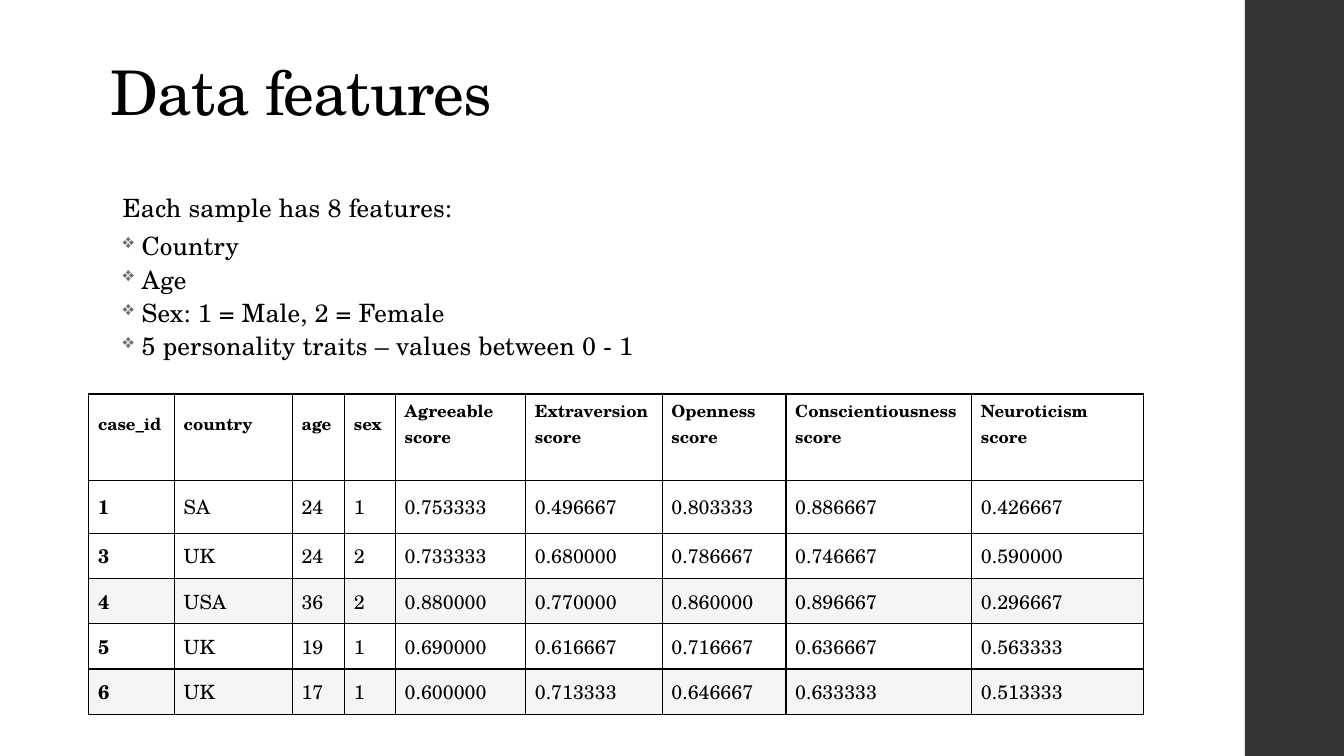
import dataclasses

import lxml.etree
import pptx
import pptx.dml.color
import pptx.enum.shapes
import pptx.enum.text
import pptx.oxml.ns
import pptx.util

Cm = pptx.util.Cm
Pt = pptx.util.Pt
qn = pptx.oxml.ns.qn


@dataclasses.dataclass(frozen=True)
class Theme:
    font: str = "TeX Gyre Schola"
    ink: str = "000000"
    sidebar: str = "353537"
    bullet: str = "6F6F74"
    shaded_row: str = "F5F5F5"
    title_size: float = 44
    body_size: float = 18
    header_size: float = 12
    cell_size: float = 14


def color(code):
    return pptx.dml.color.RGBColor.from_string(code)


class SlideBuilder:
    def __init__(self, slide, theme):
        self.slide = slide
        self.theme = theme

    def style(self, para, size, bold=False, tracking=0):
        font = para.font
        font.name, font.size, font.bold = self.theme.font, Pt(size), bold
        font.color.rgb = color(self.theme.ink)
        if tracking:
            para._p.pPr.find(qn("a:defRPr")).set("spc", str(tracking))

    def bar(self, left, top, width, height):
        shape = self.slide.shapes.add_shape(
            pptx.enum.shapes.MSO_SHAPE.RECTANGLE,
            Cm(left), Cm(top), Cm(width), Cm(height))
        shape.shadow.inherit = False
        shape.fill.solid()
        shape.fill.fore_color.rgb = color(self.theme.sidebar)
        shape.line.fill.background()

    def text_frame(self, left, top, width, height):
        box = self.slide.shapes.add_textbox(
            Cm(left), Cm(top), Cm(width), Cm(height))
        box.text_frame.word_wrap = True
        return box.text_frame

    def title(self, text, *place):
        frame = self.text_frame(*place)
        frame.vertical_anchor = pptx.enum.text.MSO_ANCHOR.BOTTOM
        para = frame.paragraphs[0]
        para.text = text
        para.line_spacing = 0.9
        self.style(para, self.theme.title_size, tracking=-50)

    def bullet_list(self, intro, items, *place):
        frame = self.text_frame(*place)
        para = frame.paragraphs[0]
        para.text = intro
        para.line_spacing = 0.95
        para.space_after = Pt(3.5)
        self.style(para, self.theme.body_size, tracking=10)
        for item in items:
            para = frame.add_paragraph()
            para.text = item
            para.line_spacing = 0.5
            para.space_before, para.space_after = Pt(11), Pt(2)
            self.style(para, self.theme.body_size, tracking=10)
            self.add_bullet(para)

    def add_bullet(self, para):
        properties = para._p.pPr
        indent = Cm(0.48)
        properties.set("marL", str(indent))
        properties.set("indent", str(-indent))
        tint = lxml.etree.Element(qn("a:buClr"))
        lxml.etree.SubElement(tint, qn("a:srgbClr"), val=self.theme.bullet)
        size = lxml.etree.Element(qn("a:buSzPct"), val="80000")
        mark = lxml.etree.Element(qn("a:buChar"), char="❖")
        for element in (tint, size, mark):
            properties.find(qn("a:defRPr")).addprevious(element)

    def table(self, rows, left, top, widths, heights, shaded):
        table = self.slide.shapes.add_table(
            len(rows), len(widths), Cm(left), Cm(top),
            Cm(sum(widths)), Cm(sum(heights))).table
        table.first_row = table.horz_banding = False
        for column, width in zip(table.columns, widths):
            column.width = Cm(width)
        for row, height in zip(table.rows, heights):
            row.height = Cm(height)
        for r, values in enumerate(rows):
            for c, value in enumerate(values):
                self.cell(table.cell(r, c), value, header=r == 0,
                          bold=r == 0 or c == 0, shade=r in shaded)

    def cell(self, cell, value, header, bold, shade):
        cell.margin_left = cell.margin_right = Cm(0.23)
        cell.margin_top = Cm(0.1)
        # Header labels sit above the middle of their row
        cell.margin_bottom = Cm(0.76 if header else 0.1)
        cell.vertical_anchor = pptx.enum.text.MSO_ANCHOR.MIDDLE
        para = cell.text_frame.paragraphs[0]
        para.text = value
        size = self.theme.header_size if header else self.theme.cell_size
        self.style(para, size, bold)
        if shade:
            cell.fill.solid()
            cell.fill.fore_color.rgb = color(self.theme.shaded_row)
        else:
            cell.fill.background()
        self.add_borders(cell)

    def add_borders(self, cell):
        properties = cell._tc.get_or_add_tcPr()
        for index, side in enumerate(("lnL", "lnR", "lnT", "lnB")):
            line = lxml.etree.Element(qn("a:" + side), w=str(Pt(1)))
            fill = lxml.etree.SubElement(line, qn("a:solidFill"))
            lxml.etree.SubElement(fill, qn("a:srgbClr"), val=self.theme.ink)
            properties.insert(index, line)


FEATURES = ["Country", "Age", "Sex: 1 = Male, 2 = Female",
            "5 personality traits – values between 0 - 1"]
SAMPLES = [
    ["case_id", "country", "age", "sex", "Agreeable score",
     "Extraversion score", "Openness score", "Conscientiousness score",
     "Neuroticism score"],
    ["1", "SA", "24", "1",
     "0.753333", "0.496667", "0.803333", "0.886667", "0.426667"],
    ["3", "UK", "24", "2",
     "0.733333", "0.680000", "0.786667", "0.746667", "0.590000"],
    ["4", "USA", "36", "2",
     "0.880000", "0.770000", "0.860000", "0.896667", "0.296667"],
    ["5", "UK", "19", "1",
     "0.690000", "0.616667", "0.716667", "0.636667", "0.563333"],
    ["6", "UK", "17", "1",
     "0.600000", "0.713333", "0.646667", "0.633333", "0.513333"],
]


def main():
    deck = pptx.Presentation()
    deck.slide_width, deck.slide_height = Cm(33.87), Cm(19.05)
    page = SlideBuilder(deck.slides.add_slide(deck.slide_layouts[6]), Theme())

    # Side bar
    page.bar(31.37, 0, 2.5, 19.05)

    # Feature list and title
    page.bullet_list("Each sample has 8 features:", FEATURES,
                     2.84, 4.78, 28.78, 9.5)
    page.title("Data features", 2.54, 0.74, 28.78, 2.64)

    # Sample table
    page.table(SAMPLES, 2.24, 9.93,
               widths=[2.16, 2.97, 1.32, 1.28, 3.28, 3.44, 3.12, 4.68, 4.32],
               heights=[2.17, 1.34] + [1.14] * 4, shaded={3, 5})

    deck.save("out.pptx")


if __name__ == "__main__":
    main()
